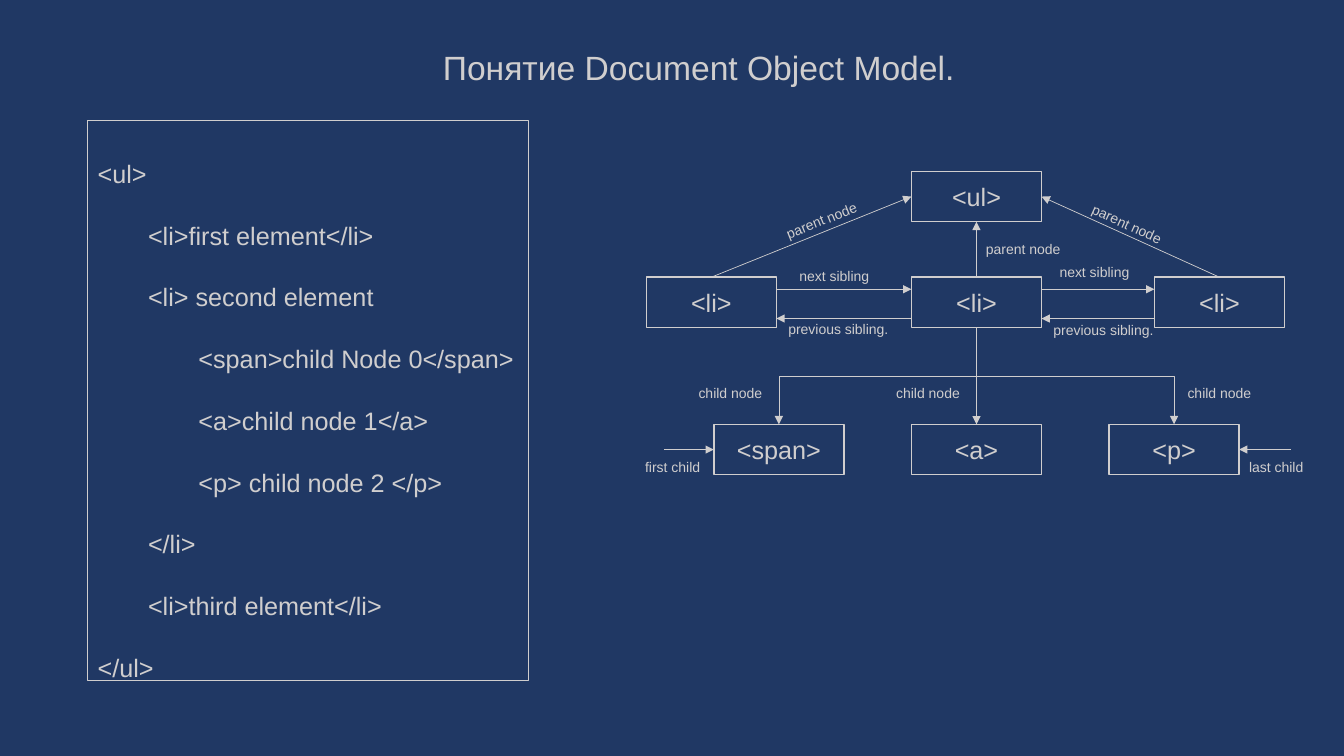
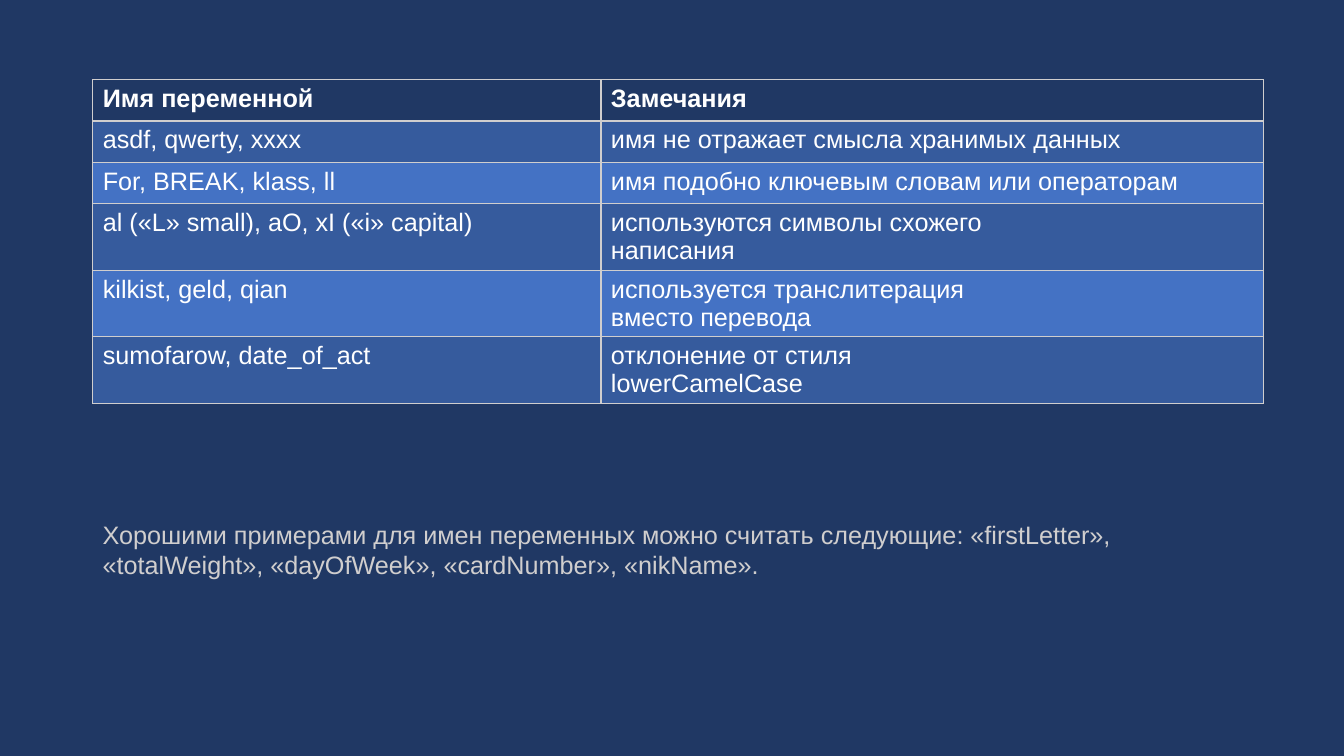
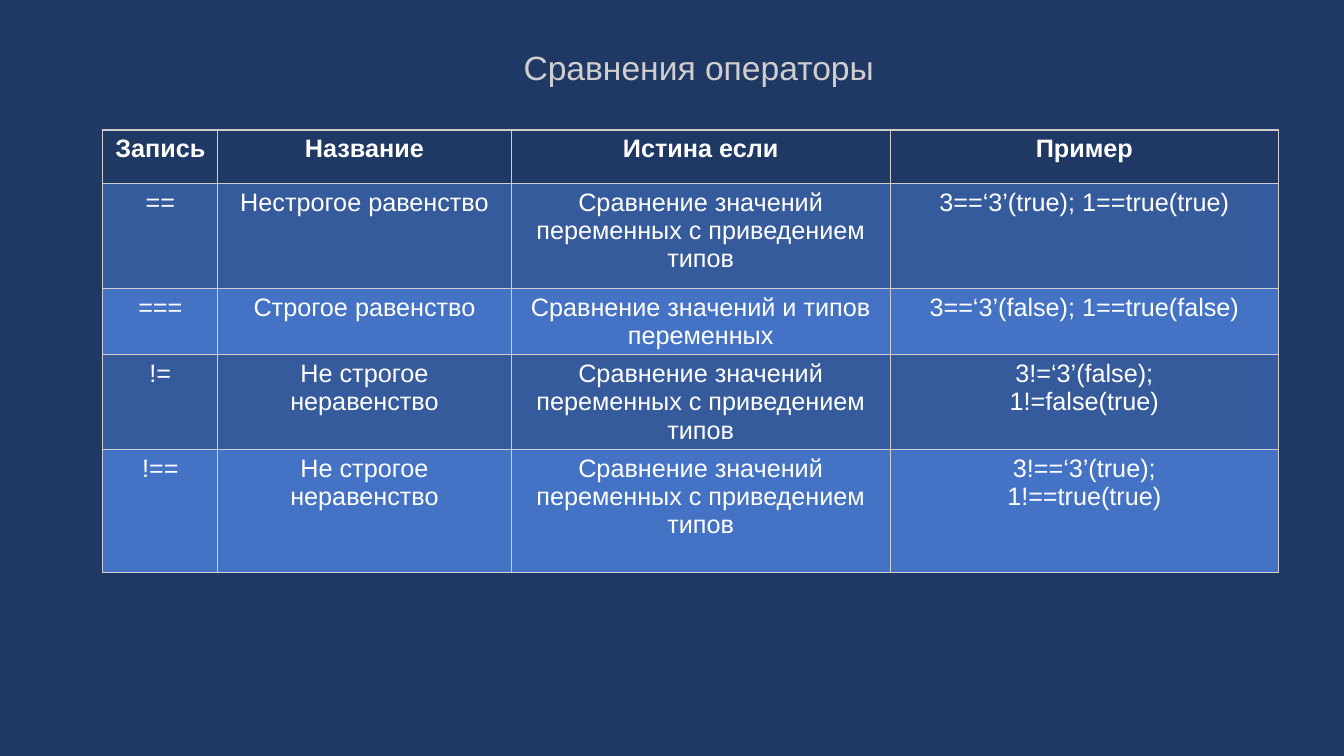
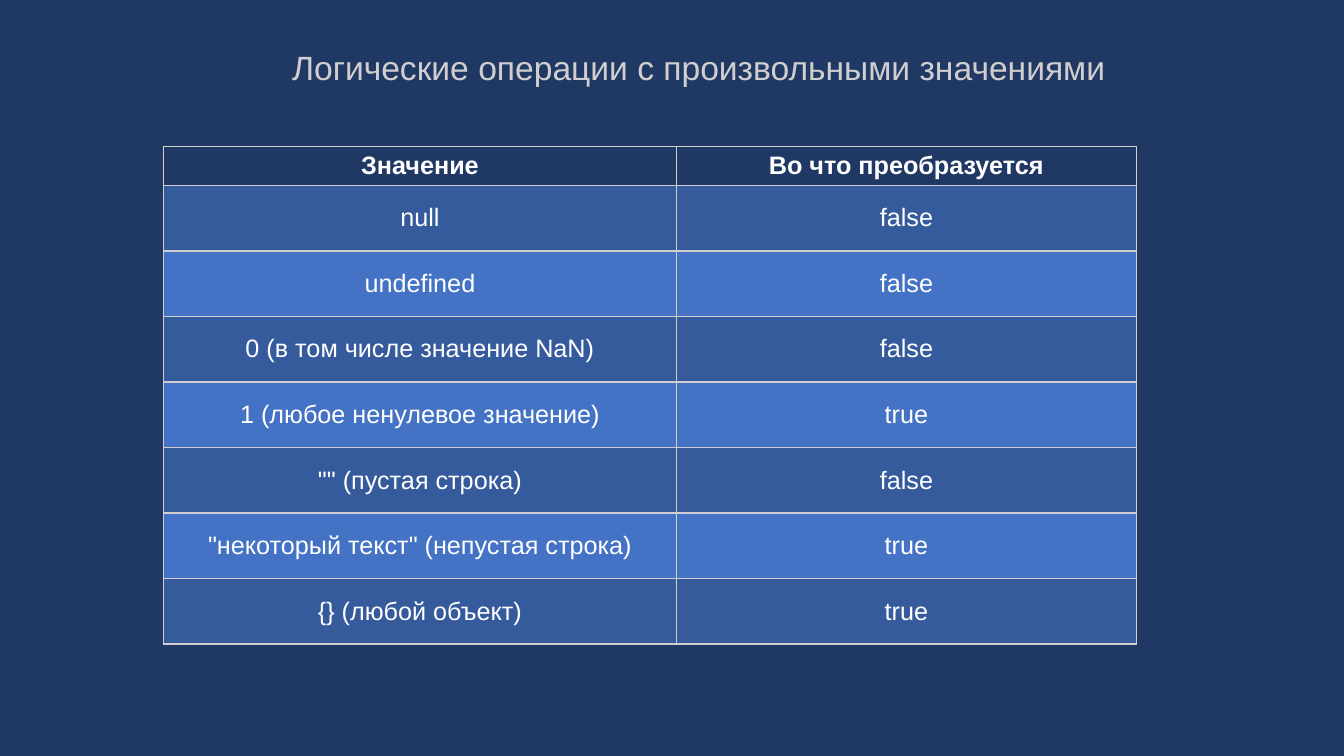
from lxml.etree import SubElement
from pptx import Presentation
from pptx.dml.color import RGBColor
from pptx.enum.shapes import MSO_CONNECTOR as Connector, MSO_SHAPE as Shape
from pptx.enum.text import MSO_ANCHOR as Anchor, MSO_AUTO_SIZE as AutoSize, PP_ALIGN as Align
from pptx.oxml.ns import qn
from pptx.util import Inches, Pt

NAVY = RGBColor(0x20, 0x38, 0x64)
DARK_BAND = RGBColor(0x36, 0x5B, 0x9D)
LIGHT_BAND = RGBColor(0x44, 0x72, 0xC4)
SILVER = RGBColor(0xD0, 0xCE, 0xCE)
WHITE = RGBColor(0xFF, 0xFF, 0xFF)
FONT = "Arial"
TOP, LEFT, BOTTOM, RIGHT = range(4)


class Lecture:
    """Holds the lecture style and the slide being filled."""

    def __init__(self):
        self.deck = Presentation()
        self.deck.slide_width, self.deck.slide_height = Inches(13.33), Inches(7.5)
        fill = self.deck.slide_master.background.fill
        fill.solid()
        fill.fore_color.rgb = NAVY
        self.page = None

    def start(self, title=None):
        self.page = self.deck.slides.add_slide(self.deck.slide_layouts[5 if title else 6])
        if title:
            box = self.page.shapes.title
            box.left, box.top, box.width, box.height = map(Inches, (1.18, 0.44, 11.5, 0.5))
            frame = box.text_frame
            frame.text = title
            frame.auto_size = AutoSize.NONE
            frame.vertical_anchor = Anchor.MIDDLE
            frame.paragraphs[0].line_spacing = 0.9
            self.style(frame, 24, align=Align.CENTER)

    def style(self, frame, size=18, color=SILVER, bold=False, align=Align.LEFT):
        for para in frame.paragraphs:
            para.alignment = align
            for span in para.runs:
                font = span.font
                font.name, font.size, font.bold = FONT, Pt(size), bold
                font.color.rgb = color

    def text(self, text, left, top, width, height, size=18, wrap=True, rotation=0):
        box = self.page.shapes.add_textbox(*map(Inches, (left, top, width, height)))
        box.rotation = rotation
        box.text_frame.text = text
        box.text_frame.word_wrap = wrap
        self.style(box.text_frame, size)

    def label(self, text, left, top, width, rotation=0):
        self.text(text, left, top, width, 0.27, 10, False, rotation)

    def frame(self, text, left, top, width, height, weight=1.0, align=Align.CENTER):
        box = self.page.shapes.add_shape(Shape.RECTANGLE, *map(Inches, (left, top, width, height)))
        box.shadow.inherit = False
        box.fill.background()
        box.line.color.rgb = SILVER
        box.line.width = Pt(weight)
        box.text_frame.text = text
        box.text_frame.vertical_anchor = Anchor.MIDDLE
        self.style(box.text_frame, align=align)
        return box

    def node(self, text, left, top):
        return self.frame(text, left, top, 1.29, 0.5)

    def code(self, lines, left, top, width, height):
        box = self.frame("\n".join(text for _, text in lines),
                         left, top, width, height, 0.75, Align.LEFT)
        frame = box.text_frame
        frame.word_wrap = False
        frame.vertical_anchor = Anchor.TOP
        frame.margin_top = Inches(0.37)
        for index, (para, (depth, _)) in enumerate(zip(frame.paragraphs, lines)):
            para._p.get_or_add_pPr().set("marL", str(Inches(0.5 * depth)))
            if index:
                para.space_before = Pt(22.5)

    def arrow(self, start=(0, 0), end=(0, 0), begin=None, finish=None, kind=Connector.STRAIGHT):
        arrow = self.page.shapes.add_connector(kind, *map(Inches, (*start, *end)))
        if begin:
            arrow.begin_connect(*begin)
        if finish:
            arrow.end_connect(*finish)
        arrow.line.color.rgb = SILVER
        arrow.line.width = Pt(0.5)
        SubElement(arrow.line._get_or_add_ln(), qn("a:tailEnd"), type="triangle")
        SubElement(arrow._element.spPr, qn("a:effectLst"))
        return arrow

    def branch(self, parent, child):
        arrow = self.arrow(begin=(parent, BOTTOM), finish=(child, TOP), kind=Connector.ELBOW)
        leftward = arrow.end_x < arrow.begin_x
        run, drop = arrow.width, arrow.height
        arrow.left += (run - drop) // 2
        arrow.top += (drop - run) // 2
        arrow.width, arrow.height = drop, run
        xfrm = arrow._element.spPr.find(qn("a:xfrm"))
        xfrm.set("flipH", "0" if leftward else "1")
        xfrm.set("rot", str((90 if leftward else 270) * 60000))

    def table(self, rows, left, top, widths, heights, align=Align.LEFT, anchor=Anchor.TOP):
        table = self.page.shapes.add_table(
            len(rows), len(widths), Inches(left), Inches(top),
            Inches(sum(widths)), Inches(sum(heights))).table
        table.horz_banding = False
        for column, width in zip(table.columns, widths):
            column.width = Inches(width)
        for index, (row, height, texts) in enumerate(zip(table.rows, heights, rows)):
            row.height = Inches(height)
            band = (LIGHT_BAND, DARK_BAND)[index % 2] if index else NAVY
            for cell, text in zip(row.cells, texts):
                cell.text = text
                cell.vertical_anchor = anchor
                self.style(cell.text_frame, color=WHITE, bold=index == 0, align=align)
                self.borders(cell)
                cell.fill.solid()
                cell.fill.fore_color.rgb = band

    def borders(self, cell):
        props = cell._tc.get_or_add_tcPr()
        for side in ("lnL", "lnR", "lnT", "lnB"):
            line = SubElement(props, qn(f"a:{side}"), w=str(Pt(1)))
            fill = SubElement(line, qn("a:solidFill"))
            SubElement(fill, qn("a:srgbClr"), val=str(SILVER))


def document_model(lecture):
    lecture.start("Понятие Document Object Model.")
    root = lecture.node("<ul>", 9.04, 1.7)
    first, second, third = [lecture.node("<li>", left, 2.75) for left in (6.41, 9.04, 11.45)]
    span, link, para = [lecture.node(text, 7.08 + 1.96 * index, 4.21)
                        for index, text in enumerate(("<span>", "<a>", "<p>"))]
    for item, side in ((first, LEFT), (third, RIGHT), (second, BOTTOM)):
        lecture.arrow(begin=(item, TOP), finish=(root, side))
    for left, right in ((7.7, 9.04), (10.33, 11.45)):
        lecture.arrow((left, 2.87), (right, 2.87))
        lecture.arrow((right, 3.16), (left, 3.16))
    lecture.arrow(begin=(second, BOTTOM), finish=(link, TOP))
    for child in (span, para):
        lecture.branch(second, child)
    lecture.arrow((6.59, 4.46), finish=(span, LEFT))
    lecture.arrow((12.8, 4.46), finish=(para, RIGHT))
    lecture.code([
        (0, "<ul>"),
        (1, "<li>first element</li>"),
        (1, "<li> second element"),
        (2, "<span>child Node 0</span>"),
        (2, "<a>child node 1</a>"),
        (2, "<p> child node 2 </p>"),
        (1, "</li>"),
        (1, "<li>third element</li>"),
        (0, "</ul>"),
    ], 0.87, 1.2, 4.37, 5.55)
    for left, top, rotation in ((7.68, 2.05, 338.1), (10.71, 2.09, 24.5), (9.68, 2.34, 0)):
        lecture.label("parent node", left, top, 0.94, rotation)
    for left in (6.83, 8.79, 11.68):
        lecture.label("child node", left, 3.77, 0.84)
    lecture.label("first child", 6.3, 4.5, 0.75)
    lecture.label("last child", 12.29, 4.5, 0.75)
    for left, top in ((7.72, 3.13), (10.35, 3.14)):
        lecture.label("previous sibling.", left, top, 1.2)
    for left, top in ((7.83, 2.6), (10.41, 2.57)):
        lecture.label("next sibling", left, top, 0.89)


def variable_names(lecture):
    lecture.start()
    lecture.table([
        ("Имя переменной", "Замечания"),
        ("asdf, qwerty, xxxx", "имя не отражает смысла хранимых данных"),
        ("For, BREAK, klass, ll", "имя подобно ключевым словам или операторам"),
        ("al («L» small), aO, xI («i» capital)", "используются символы схожего\nнаписания"),
        ("kilkist, geld, qian", "используется транслитерация\nвместо перевода"),
        ("sumofarow, date_of_act", "отклонение от стиля\nlowerCamelCase"),
    ], 0.92, 0.79, (5.04, 6.57), [0.41] * 3 + [0.66] * 3)
    lecture.text("Хорошими примерами для имен переменных можно считать следующие: «firstLetter», "
                 "«totalWeight», «dayOfWeek», «cardNumber», «nikName».", 0.92, 5.1, 11.61, 0.71)


def comparison_operators(lecture):
    lecture.start("Сравнения операторы")
    coerced = "Сравнение значений переменных с приведением типов"
    unequal = "Не строгое неравенство"
    lecture.table([
        ("Запись", "Название", "Истина если", "Пример"),
        ("==", "Нестрогое равенство", coerced, "3==‘3’(true); 1==true(true)"),
        ("===", "Строгое равенство", "Сравнение значений и типов переменных",
         "3==‘3’(false); 1==true(false)"),
        ("!=", unequal, coerced, "3!=‘3’(false);\n1!=false(true)"),
        ("!==", unequal, coerced, "3!==‘3’(true);\n1!==true(true)"),
    ], 1.02, 1.29, (1.14, 2.91, 3.76, 3.85), (0.53, 1.04, 0.66, 0.94, 1.22), Align.CENTER)


def logical_values(lecture):
    lecture.start("Логические операции с произвольными значениями")
    lecture.table([
        ("Значение", "Во что преобразуется"),
        ("null", "false"),
        ("undefined", "false"),
        ("0 (в том числе значение NaN)", "false"),
        ("1 (любое ненулевое значение)", "true"),
        ('"" (пустая строка)', "false"),
        ('"некоторый текст" (непустая строка)', "true"),
        ("{} (любой объект)", "true"),
    ], 1.62, 1.45, (5.09, 4.56), [0.39] + [0.65] * 7, Align.CENTER, Anchor.MIDDLE)


def main():
    lecture = Lecture()
    for build in (document_model, variable_names, comparison_operators, logical_values):
        build(lecture)
    lecture.deck.save("out.pptx")


if __name__ == "__main__":
    main()
